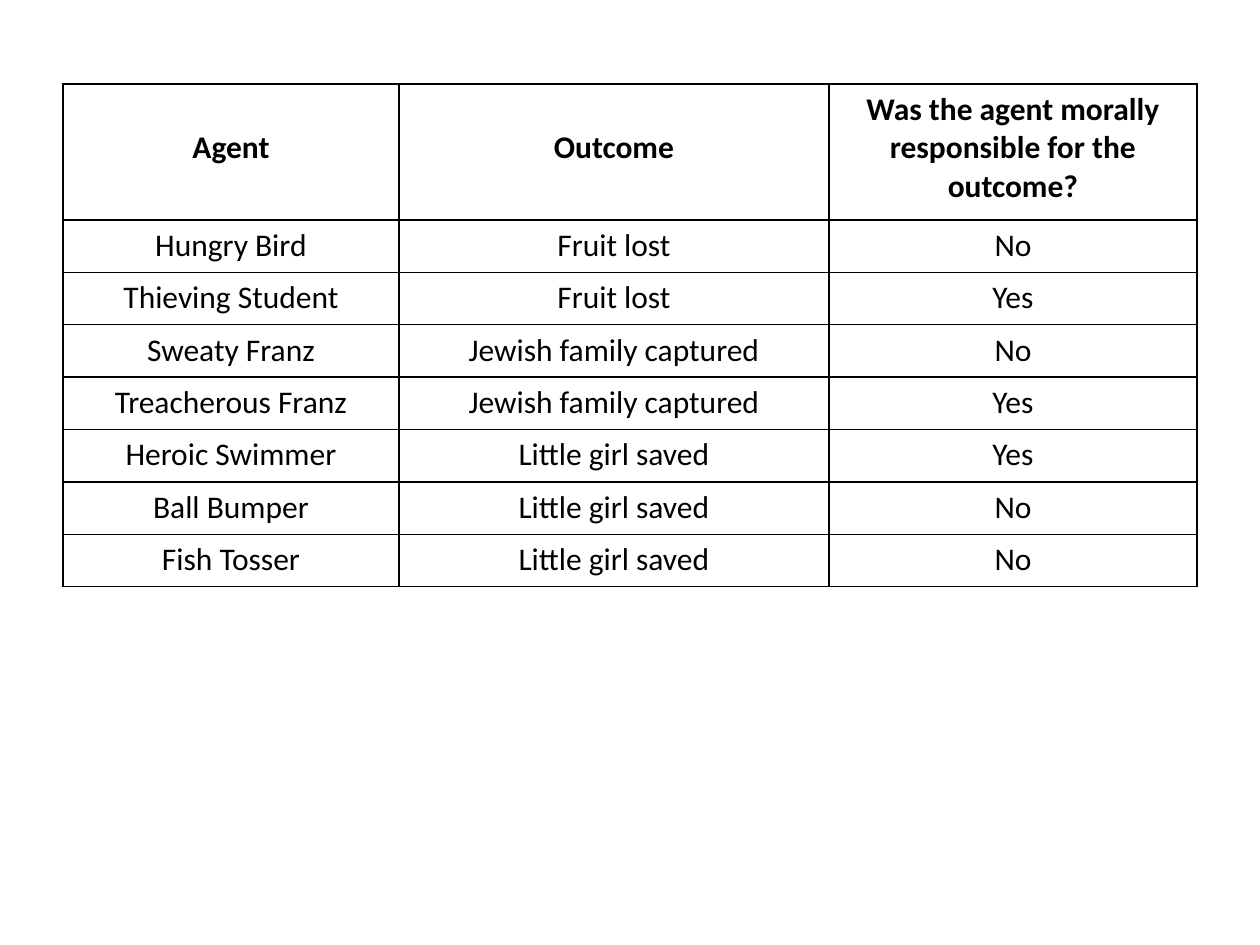
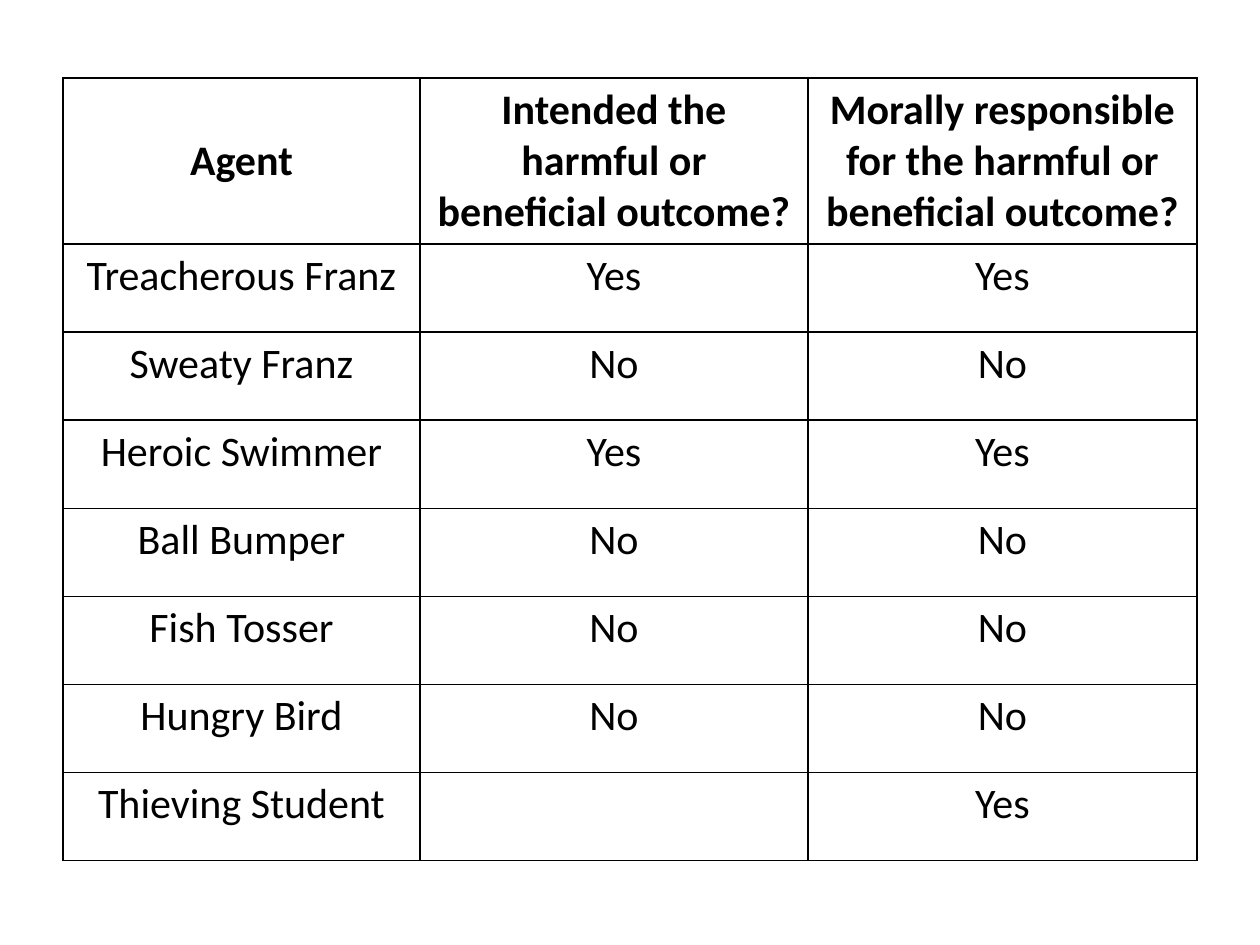
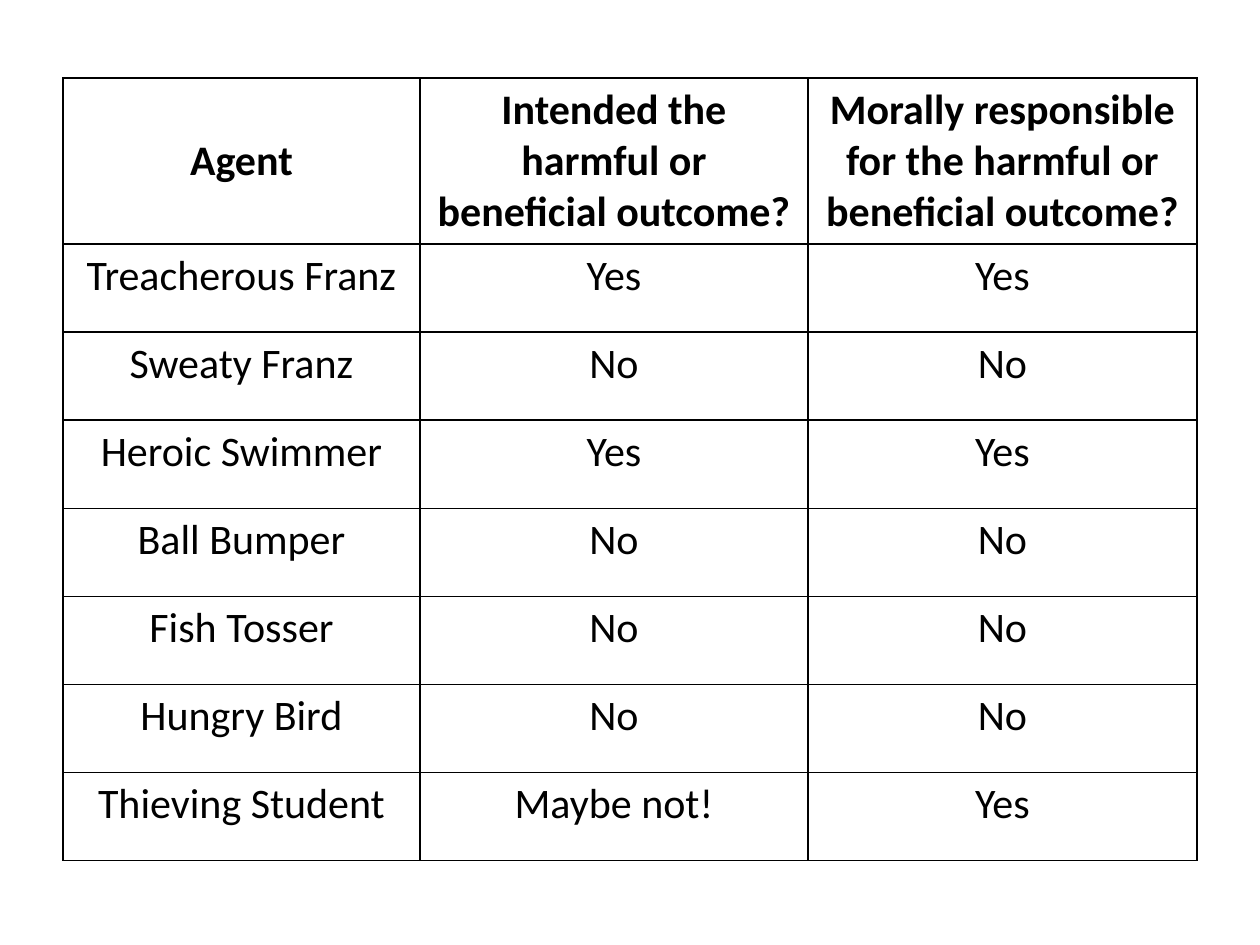
from lxml import etree
from pptx import Presentation
from pptx import util as u
from pptx.dml.color import RGBColor
from pptx.enum import text
from pptx.oxml.ns import qn

PX = 914400 / 126  # EMU per px
BLACK, WHITE = "000000", "FFFFFF"
FONT = "Calibri"
LEFT = 63
BLANK = 6

# Content
OUTCOMES = [
    ("Agent", "Outcome", "Was the agent morally responsible for the outcome?"),
    ("Hungry Bird", "Fruit lost", "No"),
    ("Thieving Student", "Fruit lost", "Yes"),
    ("Sweaty Franz", "Jewish family captured", "No"),
    ("Treacherous Franz", "Jewish family captured", "Yes"),
    ("Heroic Swimmer", "Little girl saved", "Yes"),
    ("Ball Bumper", "Little girl saved", "No"),
    ("Fish Tosser", "Little girl saved", "No"),
]
INTENTIONS = [
    ("Agent", "Intended the harmful or beneficial outcome?",
     "Morally responsible for the harmful or beneficial outcome?"),
    ("Treacherous Franz", "Yes", "Yes"),
    ("Sweaty Franz", "No", "No"),
    ("Heroic Swimmer", "Yes", "Yes"),
    ("Ball Bumper", "No", "No"),
    ("Fish Tosser", "No", "No"),
    ("Hungry Bird", "No", "No"),
]

# Table formats, lengths in px
SMALL = dict(top=84, cols=(336, 430, 368), head=136, body=367, size=18, head_pad=14)
LARGE = dict(top=78, cols=(357, 388, 389), head=166, body=617, size=24, head_pad=6)


def px(n):
    return u.Emu(round(n * PX))


def rgb(color):
    return RGBColor.from_string(color)


def add_borders(cell, color=BLACK, width=1):
    tcPr = cell._tc.get_or_add_tcPr()
    for side in ("lnL", "lnR", "lnT", "lnB"):
        ln = etree.SubElement(tcPr, qn(f"a:{side}"), w=str(u.Pt(width)))
        fill = etree.SubElement(ln, qn("a:solidFill"))
        etree.SubElement(fill, qn("a:srgbClr"), val=color)


def format_cell(cell, words, size, bold):
    add_borders(cell)
    cell.fill.background()
    cell.text = words
    p = cell.text_frame.paragraphs[0]
    p.alignment = text.PP_ALIGN.CENTER
    p.font.color.rgb = rgb(BLACK)
    for name, value in dict(name=FONT, size=u.Pt(size), bold=bold).items():
        setattr(p.font, name, value)


def add_agent_table(s, rows, top, cols, head, body, size, head_pad):
    tbl = s.shapes.add_table(len(rows), len(cols), px(LEFT), px(top),
                             px(sum(cols)), px(head + body)).table
    tbl.horz_banding = False
    for col, width in zip(tbl.columns, cols):
        col.width = px(width)
    for i, words in enumerate(rows):
        is_head = i == 0
        tbl.rows[i].height = px(head if is_head else body / (len(rows) - 1))
        for j, word in enumerate(words):
            cell = tbl.cell(i, j)
            format_cell(cell, word, size, is_head)
            if is_head:
                cell.vertical_anchor = text.MSO_ANCHOR.MIDDLE
                cell.margin_bottom = px(head_pad)


def add_table_slide(prs, rows, style):
    s = prs.slides.add_slide(prs.slide_layouts[BLANK])
    s.background.fill.solid()
    s.background.fill.fore_color.rgb = rgb(WHITE)
    add_agent_table(s, rows, **style)


def main():
    prs = Presentation()
    prs.slide_width, prs.slide_height = px(1260), px(945)
    # Outcome and responsibility
    add_table_slide(prs, OUTCOMES, SMALL)
    # Intention and responsibility: open question, then its answer
    for answer in ("", "Maybe not!"):
        add_table_slide(prs, INTENTIONS + [("Thieving Student", answer, "Yes")], LARGE)
    prs.save("out.pptx")


if __name__ == "__main__":
    main()
